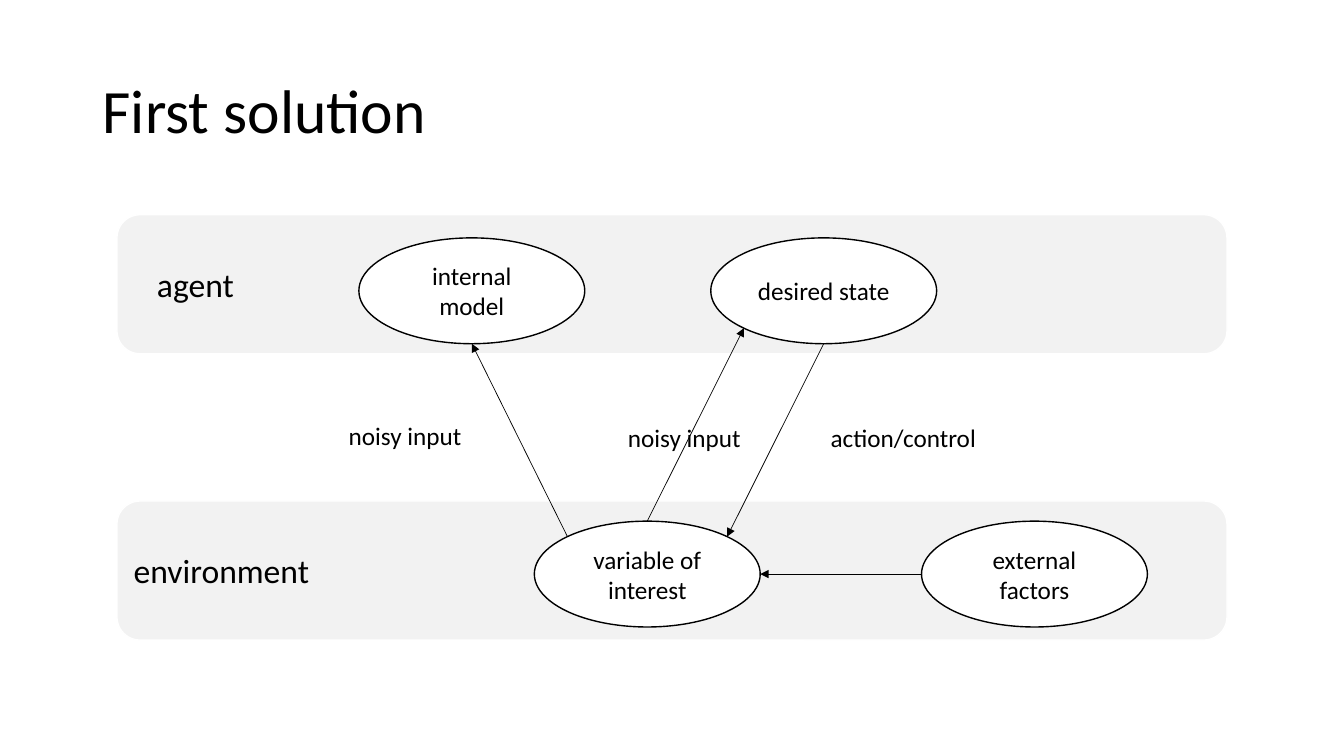
from math import cos, radians, sin

from lxml import etree
from pptx import Presentation
from pptx.dml.color import RGBColor
from pptx.enum.shapes import MSO_CONNECTOR, MSO_SHAPE
from pptx.enum.text import MSO_ANCHOR, PP_ALIGN
from pptx.oxml.ns import qn
from pptx.util import Inches, Pt

BLACK = RGBColor(0x00, 0x00, 0x00)
WHITE = RGBColor(0xFF, 0xFF, 0xFF)
LIGHT_GRAY = RGBColor(0xF2, 0xF2, 0xF2)
FONT = "Calibri"

BAND_LEFT, BAND_WIDTH, BAND_HEIGHT = 1.16, 11.01, 1.38
NODE_WIDTH, NODE_HEIGHT = 2.24, 1.05
AGENT_ROW, ENVIRONMENT_ROW = 2.36, 5.17

# Directions on an ellipse, in degrees clockwise from the right
RIGHT, BOTTOM, BOTTOM_LEFT, LEFT, TOP_LEFT, TOP, TOP_RIGHT = 0, 90, 135, 180, 225, 270, 315


def write_text(shape, text, size, alignment=PP_ALIGN.LEFT, anchor=MSO_ANCHOR.MIDDLE):
    frame = shape.text_frame
    frame.word_wrap = True
    frame.vertical_anchor = anchor
    paragraph = frame.paragraphs[0]
    paragraph.text = text
    paragraph.alignment = alignment
    paragraph.font.name = FONT
    paragraph.font.size = Pt(size)
    paragraph.font.color.rgb = BLACK
    return paragraph


def add_filled_shape(slide, kind, left, top, width, height, fill, line):
    shape = slide.shapes.add_shape(
        kind, Inches(left), Inches(top), Inches(width), Inches(height))
    shape.shadow.inherit = False
    shape.fill.solid()
    shape.fill.fore_color.rgb = fill
    shape.line.color.rgb = line
    shape.line.width = Pt(1)
    return shape


def add_band(slide, text, top, margin_left):
    band = add_filled_shape(slide, MSO_SHAPE.ROUNDED_RECTANGLE, BAND_LEFT, top,
                            BAND_WIDTH, BAND_HEIGHT, LIGHT_GRAY, WHITE)
    write_text(band, text, 24)
    band.text_frame.margin_left = Inches(margin_left)


def add_node(slide, text, left, top):
    node = add_filled_shape(slide, MSO_SHAPE.OVAL, left, top,
                            NODE_WIDTH, NODE_HEIGHT, WHITE, BLACK)
    write_text(node, text, 18, PP_ALIGN.CENTER)
    return node


def add_text(slide, text, left, top, width, height, size, anchor=MSO_ANCHOR.TOP):
    box = slide.shapes.add_textbox(
        Inches(left), Inches(top), Inches(width), Inches(height))
    return write_text(box, text, size, anchor=anchor)


def edge_point(node, direction):
    """Return the point where a direction meets the outline of an ellipse."""
    angle = radians(direction)
    return (round(node.left + node.width / 2 * (1 + cos(angle))),
            round(node.top + node.height / 2 * (1 + sin(angle))))


def add_arrow(slide, source, source_side, target, target_side):
    arrow = slide.shapes.add_connector(
        MSO_CONNECTOR.STRAIGHT,
        *edge_point(source, source_side), *edge_point(target, target_side))
    arrow.line.color.rgb = BLACK
    arrow.line.width = Pt(0.5)
    etree.SubElement(arrow.line._get_or_add_ln(), qn("a:tailEnd"), type="triangle")
    etree.SubElement(arrow._element.spPr, qn("a:effectLst"))


def main():
    presentation = Presentation()
    presentation.slide_width = Inches(13.33)
    presentation.slide_height = Inches(7.5)
    slide = presentation.slides.add_slide(presentation.slide_layouts[6])

    title = add_text(slide, "First solution", 0.92, 0.4, 11.5, 1.45, 44, MSO_ANCHOR.MIDDLE)
    title.line_spacing = 0.9

    add_band(slide, "agent", 2.13, 0.33)
    add_band(slide, "environment", 4.97, 0.1)

    model = add_node(slide, "internal model", 3.56, AGENT_ROW)
    desired = add_node(slide, "desired state", 7.05, AGENT_ROW)
    variable = add_node(slide, "variable of interest", 5.3, ENVIRONMENT_ROW)
    factors = add_node(slide, "external factors", 9.14, ENVIRONMENT_ROW)

    add_arrow(slide, variable, TOP_LEFT, model, BOTTOM)
    add_arrow(slide, variable, TOP, desired, BOTTOM_LEFT)
    add_arrow(slide, desired, BOTTOM, variable, TOP_RIGHT)
    add_arrow(slide, factors, LEFT, variable, RIGHT)

    for text, left, top, width in (
        ("noisy input", 3.36, 4.12, 1.52),
        ("noisy input", 6.13, 4.14, 1.52),
        ("action/control", 8.14, 4.14, 1.81),
    ):
        add_text(slide, text, left, top, width, 0.4, 18)

    presentation.save("out.pptx")


if __name__ == "__main__":
    main()
